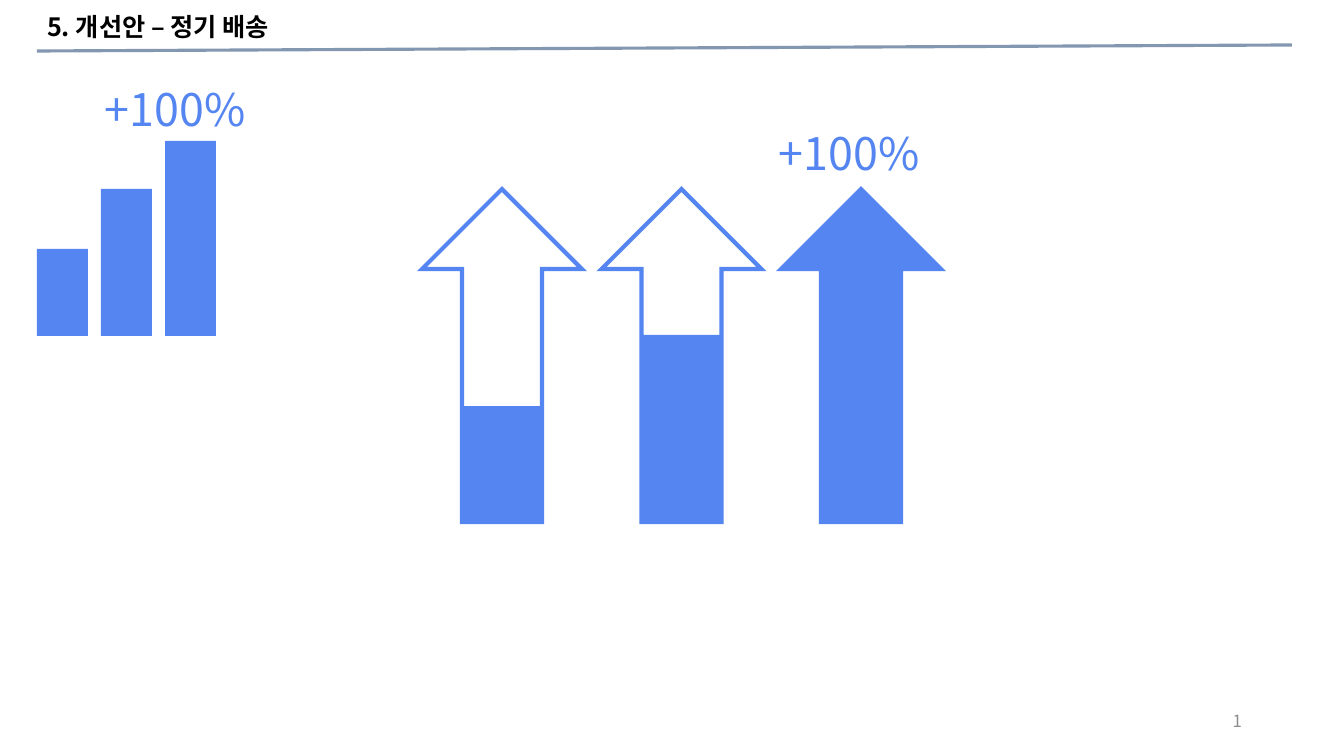
from pptx import Presentation
from pptx.dml.color import RGBColor as RGB
from pptx.enum.shapes import MSO_CONNECTOR as LINK, MSO_SHAPE as SHAPE
from pptx.enum.text import MSO_ANCHOR as ANCHOR, PP_ALIGN as ALIGN
from pptx.oxml.ns import qn
from pptx.util import Emu, Pt
from lxml.etree import SubElement as sub

PX = 9144000 / 1008
FONT = "Noto Sans CJK KR"
BLUE, WHITE = "5485F0", "FFFFFF"


def px(*vals):
    """Turn pixels into EMU lengths."""
    return [Emu(round(v * PX)) for v in vals]


def paint(fmt, tone):
    """Give a fill or font colour from a hex string."""
    if hasattr(fmt, "solid"):
        fmt.solid()
        fmt = fmt.fore_color
    else:
        fmt = fmt.color
    fmt.rgb = RGB.from_string(tone)


deck = Presentation()
deck.slide_width, deck.slide_height = px(1344, 756)
slide = deck.slides.add_slide(deck.slide_layouts[5])
shapes = slide.shapes

# Title rule
x1, y1, x2, y2 = px(37, 51, 1292, 45)
rule = shapes.add_connector(LINK.STRAIGHT, x1, y1, x2, y2)
paint(rule.line.fill, "8497B0")
rule.line.width = Pt(2.25)
sub(rule._element.spPr, qn("a:effectLst"))

# Growth bars, arrows, and the filled part of the first two arrows
forms = [(SHAPE.RECTANGLE, (37 + 64 * i, top, 51, 336 - top), BLUE, 0)
         for i, top in enumerate((249, 189, 141))]
forms += [(SHAPE.UP_ARROW, (422 + 179.5 * i, 189, 160, 333), tone, 3)
          for i, tone in enumerate((WHITE, WHITE, BLUE))]
forms += [(SHAPE.RECTANGLE, (462 + 179.5 * i, top, 80, 522 - top), BLUE, 0)
          for i, top in enumerate((406, 335))]
for kind, box, tone, width in forms:
    form = shapes.add_shape(kind, *px(*box))
    form.shadow.inherit = False
    paint(form.fill, tone)
    if width:
        paint(form.line.fill, BLUE)
        form.line.width = Pt(width)
        sub(form.line._ln, qn("a:miter"), lim="800000")
    else:
        form.line.fill.background()

# Title, growth labels and slide number
texts = [
    (shapes.title, (37, 8, 921, 41), "5. 개선안 – 정기 배송", "000000",
     {"size": Pt(18), "bold": True}, {"alignment": ALIGN.LEFT, "line_spacing": 0.9},
     ANCHOR.MIDDLE),
    (None, (95, 77, 190, 64), "+100%", BLUE, {"size": Pt(32)}, {}, ANCHOR.TOP),
    (None, (769, 121, 190, 64), "+100%", BLUE, {"size": Pt(32)}, {}, ANCHOR.TOP),
    (None, (950, 701, 302, 40), "1", "8C8C8C", {"size": Pt(12)},
     {"alignment": ALIGN.RIGHT}, ANCHOR.MIDDLE),
]
for spot, box, words, tone, face, lay, anchor in texts:
    spot = spot or shapes.add_textbox(*px(*box))
    spot.left, spot.top, spot.width, spot.height = px(*box)
    frame = spot.text_frame
    frame.word_wrap, frame.vertical_anchor = True, anchor
    para = frame.paragraphs[0]
    run = para.add_run()
    run.text = words
    for item, vals in ((run.font, {"name": FONT, **face}), (para, lay)):
        for key, val in vals.items():
            setattr(item, key, val)
    paint(run.font, tone)
    sub(run.font._element, qn("a:ea"), typeface=FONT)

# The last text is a live slide number
field = run._r
field.tag = qn("a:fld")
field.set("id", "{B6F15528-21DE-4FAA-801E-634DDDAF4B2B}")
field.set("type", "slidenum")

deck.save("out.pptx")
